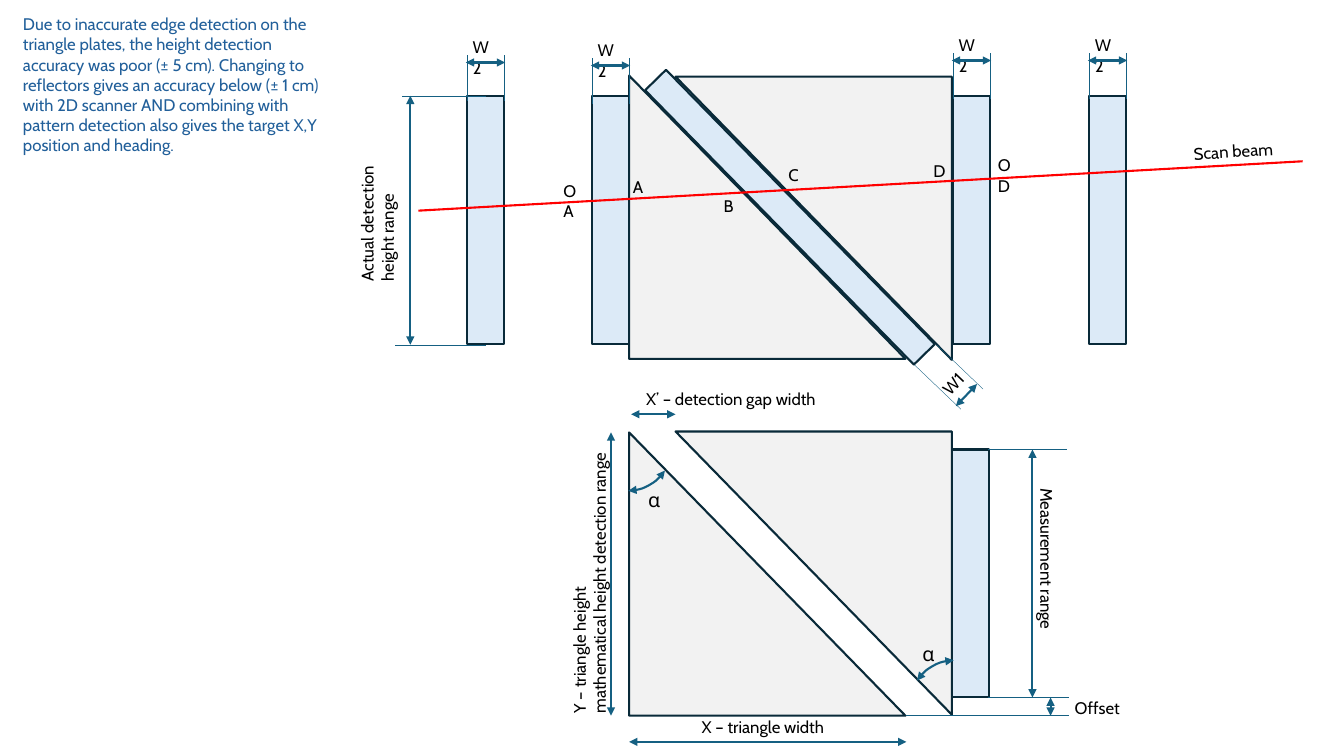
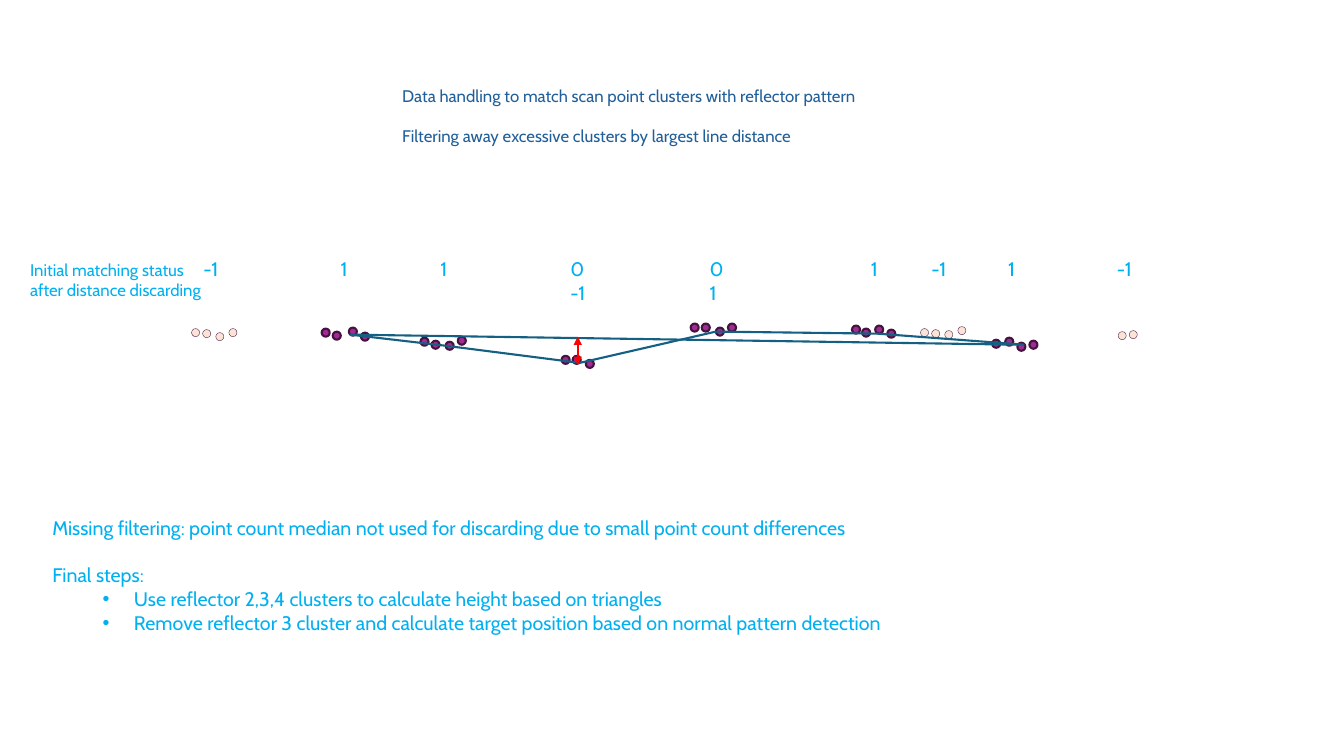
from itertools import pairwise

from lxml import etree
from pptx import Presentation
from pptx.dml.color import RGBColor
from pptx.enum import shapes, text
from pptx.oxml import ns
from pptx.util import Inches, Pt

FONT = "Cabin"
BLACK = RGBColor(0x00, 0x00, 0x00)
NOTE_BLUE = RGBColor(0x21, 0x5F, 0x9A)
STATUS_BLUE = RGBColor(0x00, 0xB0, 0xF0)
DIMENSION = RGBColor(0x15, 0x60, 0x82)
OUTLINE = RGBColor(0x09, 0x2A, 0x39)
PLATE = RGBColor(0xF2, 0xF2, 0xF2)
REFLECTOR = RGBColor(0xDC, 0xEA, 0xF7)
RED = RGBColor(0xFF, 0x00, 0x00)
MATCHED = RGBColor(0xA0, 0x2B, 0x93)
DISCARDED = RGBColor(0xFB, 0xE3, 0xD6)
DOT_OUTLINE = RGBColor(0x46, 0x13, 0x40)

# Slide 1: reflector geometry
ACCURACY_NOTE = (
    "Due to inaccurate edge detection on the triangle plates, the height detection "
    "accuracy was poor (± 5 cm). Changing to reflectors gives an accuracy below "
    "(± 1 cm) with 2D scanner AND combining with pattern detection also gives the "
    "target X,Y position and heading.")
TRIANGLE_W, TRIANGLE_H = 2.74, 2.81
STRIP_W, STRIP_H, STRIP_TOP = 0.37, 2.46, 0.95
STRIPS = [(4.63, 0.55), (5.87, 0.58), (9.45, 0.53), (10.8, 0.53)]  # left, W2 mark top
PLATE_TOPS = [(0.76, 0.75), (4.28, 4.29)]  # upper right plate, lower left plate
BEAM = (4.15, 2.09, 12.92, 1.6)
CROSSINGS = [  # label, left, top, width
    ("A", 6.18, 1.7, 0.3), ("B", 7.08, 1.89, 0.3),
    ("C", 7.72, 1.59, 0.32), ("D", 9.16, 1.55, 0.32),
]
STACKED_LABELS = [("OA", 5.49, 1.74), ("OD", 9.8, 1.49)]
DIMENSION_ARROWS = [
    (6.06, 4.29, 6.06, 7.1),     # Y
    (6.26, 4.11, 6.7, 4.11),     # X’
    (6.24, 7.36, 8.99, 7.36),    # X
    (4.07, 0.95, 4.07, 3.42),    # actual detection range
    (9.48, 4.03, 9.69, 3.81),    # W1
    (10.24, 4.46, 10.24, 6.92),  # measurement range
    (10.42, 7.1, 10.42, 6.92),   # offset
]
EXTENSION_LINES = [  # ends, weight
    ((4.82, 0.95, 3.99, 0.95), 0.25), ((4.82, 3.42, 3.92, 3.42), 0.25),
    ((9.07, 3.62, 9.53, 4.06), 0.25), ((9.29, 3.42, 9.75, 3.86), 0.25),
    ((9.8, 4.46, 10.58, 4.46), 0.5), ((9.8, 6.92, 10.6, 6.92), 0.5),
    ((8.99, 7.1, 10.6, 7.1), 0.5),
]
DIMENSION_LABELS = [  # lines, left, top, width, height, rotation
    (["Y – triangle height", "mathematical height detection range"],
     4.36, 5.44, 2.97, 0.5, 270),
    (["X’ – detection gap width"], 6.31, 3.81, 1.91, 0.3, 0),
    (["X – triangle width"], 6.86, 7.06, 1.43, 0.3, 0),
    (["Scan beam"], 11.74, 1.35, 1.02, 0.3, 356.6),
    (["W1"], 9.24, 3.65, 0.44, 0.3, 313.6),
    (["Offset"], 10.56, 6.87, 0.65, 0.3, 0),
    (["Measurement range"], 9.56, 5.42, 1.65, 0.3, 90),
]
ANGLES = [  # arc left, arc top, rotation, α left, α top
    (5.77, 3.97, 0, 6.33, 4.79), (9.02, 6.55, 180, 9.05, 6.32),
]

# Slide 2: cluster matching
DOT = 0.08
MATCHED_CLUSTERS = [
    [(3.19, 3.26), (3.3, 3.29), (3.46, 3.25), (3.58, 3.3)],
    [(4.17, 3.35), (4.28, 3.38), (4.42, 3.39), (4.54, 3.34)],
    [(5.57, 3.53), (5.68, 3.53), (5.81, 3.57)],
    [(6.85, 3.21), (6.96, 3.21), (7.1, 3.25), (7.22, 3.21)],
    [(8.45, 3.23), (8.55, 3.26), (8.68, 3.23), (8.8, 3.27)],
    [(9.84, 3.37), (9.97, 3.35), (10.09, 3.4), (10.21, 3.38)],
]
DISCARDED_CLUSTERS = [
    [(9.13, 3.26), (9.24, 3.27), (9.37, 3.28), (9.5, 3.24)],
    [(1.9, 3.26), (2.01, 3.27), (2.14, 3.3), (2.27, 3.26)],
    [(11.09, 3.29), (11.2, 3.28)],
]
CLUSTER_PATH = [(3.47, 3.32), (4.42, 3.43), (5.75, 3.6), (7.1, 3.29),
                (8.7, 3.31), (10.16, 3.42)]
BASELINE = (3.47, 3.32, 10.1, 3.42)
LARGEST_DISTANCE = (5.73, 3.62, 5.73, 3.34)
STATUSES = [  # left, status before and after discarding
    (1.92, ["-1"]), (3.28, ["1"]), (4.27, ["1"]), (5.56, ["0", "-1"]),
    (6.94, ["0", "1"]), (8.54, ["1"]), (9.14, ["-1"]), (9.9, ["1"]), (10.98, ["-1"]),
]
STATUS_LEGEND = ["Initial matching status", "after distance discarding"]
HEADINGS = [
    ("Data handling to match scan point clusters with reflector pattern", 0.8, 4.91),
    ("Filtering away excessive clusters by largest line distance", 1.2, 4.25),
]
CONCLUSIONS = [
    "Missing filtering: point count median not used for discarding due to small "
    "point count differences",
    "Final steps:",
    "Use reflector 2,3,4 clusters to calculate height based on triangles",
    "Remove reflector 3 cluster and calculate target position based on normal "
    "pattern detection",
]


def stroke(item, color, weight, arrows=False):
    item.line.color.rgb = color
    item.line.width = Pt(weight)
    if arrows:
        ln = item.line._get_or_add_ln()
        for end in ("a:headEnd", "a:tailEnd"):
            etree.SubElement(ln, ns.qn(end), type="triangle")


def add_line(slide, ends, color=DIMENSION, weight=1.5, arrows=False):
    line = slide.shapes.add_connector(
        shapes.MSO_CONNECTOR.STRAIGHT, *(Inches(v) for v in ends))
    stroke(line, color, weight, arrows)
    etree.SubElement(line._element.spPr, ns.qn("a:effectLst"))


def add_figure(slide, preset, left, top, width, height, fill=None, color=OUTLINE,
               weight=1.5, rotation=0, arrows=False):
    figure = slide.shapes.add_shape(
        preset, *(Inches(v) for v in (left, top, width, height)))
    figure.rotation = rotation
    figure.shadow.inherit = False
    if fill is None:
        figure.fill.background()
    else:
        figure.fill.solid()
        figure.fill.fore_color.rgb = fill
    stroke(figure, color, weight, arrows)
    return figure


def add_text(slide, lines, left, top, width, height=0.3, size=12, color=BLACK,
             wrap=False, rotation=0):
    box = slide.shapes.add_textbox(*(Inches(v) for v in (left, top, width, height)))
    box.rotation = rotation
    frame = box.text_frame
    frame.word_wrap = wrap
    frame.auto_size = text.MSO_AUTO_SIZE.SHAPE_TO_FIT_TEXT
    frame.text = "\n".join(lines)
    for paragraph in frame.paragraphs:
        font = paragraph.runs[0].font
        font.name, font.size, font.color.rgb = FONT, Pt(size), color
    return frame.paragraphs


def add_bullet(paragraph, left, hanging):
    paragraph.level = 1
    props = paragraph._p.get_or_add_pPr()
    props.set("marL", str(Inches(left)))
    props.set("indent", str(-Inches(hanging)))
    etree.SubElement(props, ns.qn("a:buFont"), typeface="Arial")
    etree.SubElement(props, ns.qn("a:buChar"), char="•")


def build_geometry(slide):
    kinds = shapes.MSO_SHAPE

    # Triangle plates and reflectors
    for upper, lower in PLATE_TOPS:
        for left, top, turn in ((6.7, upper, 180), (6.24, lower, 0)):
            add_figure(slide, kinds.RIGHT_TRIANGLE, left, top, TRIANGLE_W, TRIANGLE_H,
                       PLATE, rotation=turn)
    strip_spots = [(left, STRIP_TOP) for left, _ in STRIPS] + [(9.44, 4.46)]
    for left, top in strip_spots:
        add_figure(slide, kinds.RECTANGLE, left, top, STRIP_W, STRIP_H, REFLECTOR)
    add_figure(slide, kinds.RECTANGLE, 7.69, 0.25, 0.29, 3.81, REFLECTOR, rotation=315.6)

    # Scan beam and its crossings
    add_line(slide, BEAM, RED)
    for label, left, top, width in CROSSINGS:
        add_text(slide, [label], left, top, width)
    for label, left, top in STACKED_LABELS:
        add_text(slide, [label], left, top, 0.4, wrap=True)

    # W2 marks above the reflectors
    for left, top in STRIPS:
        for x in (left, left + STRIP_W):
            add_line(slide, (x, top, x, top + 0.45), weight=0.25)
        add_text(slide, ["W2"], left - 0.04, top - 0.23, 0.4, wrap=True)
        add_line(slide, (left - 0.01, top + 0.07, left + STRIP_W + 0.01, top + 0.07),
                 arrows=True)

    # Other dimensions
    for ends, weight in EXTENSION_LINES:
        add_line(slide, ends, weight=weight)
    for ends in DIMENSION_ARROWS:
        add_line(slide, ends, arrows=True)
    for lines, left, top, width, height, turn in DIMENSION_LABELS:
        add_text(slide, lines, left, top, width, height, rotation=turn)
    add_text(slide, ["Actual detection height range"], 2.96, 1.86, 1.56, 0.5,
             wrap=True, rotation=270)

    # Angles
    for left, top, turn, alpha_left, alpha_top in ANGLES:
        arc = add_figure(slide, kinds.ARC, left, top, 0.9, 0.9, color=DIMENSION,
                         rotation=turn, arrows=True)
        arc.adjustments[0], arc.adjustments[1] = 20.09, 53.14
        add_text(slide, ["α"], alpha_left, alpha_top, 0.31, 0.34, size=14)

    add_text(slide, [ACCURACY_NOTE], 0.13, 0.09, 3.14, 1.51, color=NOTE_BLUE, wrap=True)


def build_matching(slide):
    # Scan point clusters
    for clusters, fill, weight in ((MATCHED_CLUSTERS, MATCHED, 1.5),
                                   (DISCARDED_CLUSTERS, DISCARDED, 0.25)):
        for cluster in clusters:
            for left, top in cluster:
                add_figure(slide, shapes.MSO_SHAPE.OVAL, left, top, DOT, DOT, fill,
                           DOT_OUTLINE, weight)

    # Lines between clusters
    add_line(slide, BASELINE)
    for start, end in pairwise(CLUSTER_PATH):
        add_line(slide, start + end)
    add_line(slide, LARGEST_DISTANCE, RED, arrows=True)

    # Matching status
    for left, lines in STATUSES:
        add_text(slide, lines, left, 2.5, 0.36 if "-1" in lines else 0.31,
                 0.34 if len(lines) == 1 else 0.57, size=14, color=STATUS_BLUE)
    add_text(slide, STATUS_LEGEND, 0.2, 2.53, 2, 0.5, color=STATUS_BLUE)

    # Headings and conclusions
    for heading, top, width in HEADINGS:
        add_text(slide, [heading], 3.89, top, width, color=NOTE_BLUE)
    _, final_steps, *steps = add_text(slide, CONCLUSIONS, 0.42, 5.07, 8.68, 1.28,
                                      size=14, color=STATUS_BLUE)
    final_steps.space_before = Pt(17)
    for step in steps:
        add_bullet(step, 0.81, 0.31)


def main():
    deck = Presentation()
    deck.slide_width, deck.slide_height = Inches(13.33), Inches(7.5)
    for build in (build_geometry, build_matching):
        build(deck.slides.add_slide(deck.slide_layouts[6]))
    deck.save("out.pptx")


if __name__ == "__main__":
    main()
